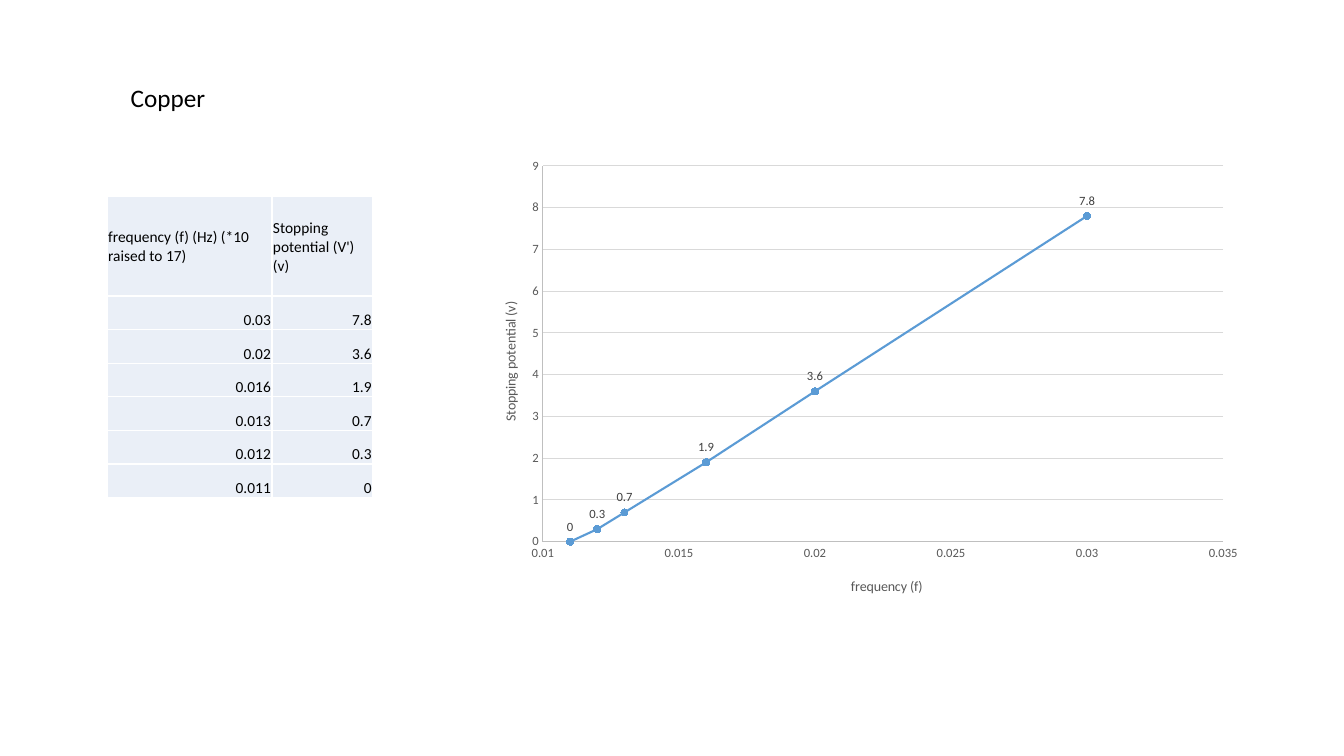
from dataclasses import dataclass

from lxml import etree
from pptx import Presentation
from pptx import util as u
from pptx.chart.axis import ValueAxis
from pptx.chart.data import XyChartData
from pptx.dml.color import RGBColor
from pptx.enum import chart as charts, text
from pptx.oxml import parse_xml
from pptx.oxml.ns import nsdecls, qn
from pptx.slide import Slide
from pptx.table import _Cell
from pptx.text.text import Font

PX = 9525
FONT = "Calibri"
BLACK, WHITE, GREY, LABEL = "000000", "FFFFFF", "595959", "404040"
AXIS, GRID, BLUE, CELL = "BFBFBF", "D9D9D9", "5B9BD5", "EAEFF7"


@dataclass(frozen=True)
class Box:
    left: int
    top: int
    width: int = 0
    height: int = 0

    def emu(self) -> tuple[int, int, int, int]:
        return px(self.left), px(self.top), px(self.width), px(self.height)


@dataclass(frozen=True)
class Reading:
    frequency: float
    potential: float


@dataclass(frozen=True)
class AxisStyle:
    title: str
    title_at: Box
    minimum: float
    maximum: float
    step: float
    gridlines: bool


READINGS = [
    Reading(0.03, 7.8),
    Reading(0.02, 3.6),
    Reading(0.016, 1.9),
    Reading(0.013, 0.7),
    Reading(0.012, 0.3),
    Reading(0.011, 0),
]
HEADERS = ("frequency (f) (Hz) (*10 raised to 17)", "Stopping potential (V') (v)")
COLUMN_WIDTHS = (157, 96)
HEADER_HEIGHT, ROW_HEIGHT = 95, 32
HEADING = Box(115, 74, 124, 38)
TABLE = Box(102, 187, 253, 287)
CHART = Box(452, 142, 741, 440)
PLOT = Box(65, 16, 648, 358)
FREQUENCY_AXIS = AxisStyle("frequency (f)", Box(356, 405), 0.01, 0.035, 0.005, False)
POTENTIAL_AXIS = AxisStyle("Stopping potential (v)", Box(23, 143), 0, 9, 1, True)


def px(length: int) -> int:
    return length * PX


def color(value: str) -> RGBColor:
    return RGBColor.from_string(value)


def style_font(font: Font, size: int, value: str) -> None:
    font.name = FONT
    font.size = u.Pt(size)
    font.bold = False
    font.color.rgb = color(value)


def add_heading(slide: Slide, content: str) -> None:
    frame = slide.shapes.add_textbox(*HEADING.emu()).text_frame
    frame.word_wrap = True
    run = frame.paragraphs[0].add_run()
    run.text = content
    style_font(run.font, 18, BLACK)


def style_cell(cell: _Cell, content: str, is_header: bool) -> None:
    cell.margin_left = cell.margin_right = cell.margin_top = px(1)
    cell.margin_bottom = 0
    anchor = text.MSO_ANCHOR
    cell.vertical_anchor = anchor.MIDDLE if is_header else anchor.BOTTOM
    cell.fill.solid()
    cell.fill.fore_color.rgb = color(CELL)
    paragraph = cell.text_frame.paragraphs[0]
    paragraph.alignment = text.PP_ALIGN.LEFT if is_header else text.PP_ALIGN.RIGHT
    run = paragraph.add_run()
    run.text = content
    style_font(run.font, 11, BLACK)
    properties = cell._tc.get_or_add_tcPr()
    for index, side in enumerate(("lnL", "lnR", "lnT", "lnB")):
        border = parse_xml(
            f'<a:{side} {nsdecls("a")} w="{u.Pt(1)}"><a:solidFill>'
            f'<a:srgbClr val="{WHITE}"/></a:solidFill></a:{side}>'
        )
        properties.insert(index, border)


def add_readings_table(slide: Slide) -> None:
    rows = [HEADERS] + [(str(r.frequency), str(r.potential)) for r in READINGS]
    table = slide.shapes.add_table(len(rows), len(HEADERS), *TABLE.emu()).table
    table.first_row = table.horz_banding = False
    for column, width in zip(table.columns, COLUMN_WIDTHS):
        column.width = px(width)
    for row_index, values in enumerate(rows):
        is_header = row_index == 0
        table.rows[row_index].height = px(HEADER_HEIGHT if is_header else ROW_HEIGHT)
        for column_index, value in enumerate(values):
            style_cell(table.cell(row_index, column_index), value, is_header)


def set_layout(parent: etree._Element, box: Box, index: int) -> None:
    for old in parent.findall(qn("c:layout")):
        parent.remove(old)
    settings = [("xMode", "edge"), ("yMode", "edge")]
    settings += [("x", box.left / CHART.width), ("y", box.top / CHART.height)]
    if box.width:
        settings.insert(0, ("layoutTarget", "inner"))
        settings += [("w", box.width / CHART.width), ("h", box.height / CHART.height)]
    content = "".join(f'<c:{name} val="{value}"/>' for name, value in settings)
    layout = parse_xml(
        f'<c:layout {nsdecls("c")}><c:manualLayout>{content}</c:manualLayout></c:layout>'
    )
    parent.insert(index, layout)


def style_axis(axis: ValueAxis, style: AxisStyle) -> None:
    axis.minimum_scale = style.minimum
    axis.maximum_scale = style.maximum
    axis.major_unit = style.step
    axis.major_tick_mark = axis.minor_tick_mark = charts.XL_TICK_MARK.NONE
    axis.tick_labels.number_format = "General"
    axis.tick_labels.number_format_is_linked = False
    style_font(axis.tick_labels.font, 9, GREY)
    axis.format.line.color.rgb = color(AXIS)
    axis.format.line.width = u.Pt(0.75)
    axis.has_major_gridlines = style.gridlines
    if style.gridlines:
        axis.major_gridlines.format.line.color.rgb = color(GRID)
        axis.major_gridlines.format.line.width = u.Pt(0.75)
    run = axis.axis_title.text_frame.paragraphs[0].add_run()
    run.text = style.title
    style_font(run.font, 10, GREY)
    set_layout(axis.axis_title._element, style.title_at, 1)


def add_potential_chart(slide: Slide) -> None:
    data = XyChartData()
    points = data.add_series("Series 1")
    for reading in READINGS:
        points.add_data_point(reading.frequency, reading.potential)
    kind = charts.XL_CHART_TYPE.XY_SCATTER_LINES
    chart = slide.shapes.add_chart(kind, *CHART.emu(), data).chart
    chart.has_title = chart.has_legend = False
    style_font(chart.font, 10, BLACK)
    style_axis(chart.category_axis, FREQUENCY_AXIS)
    style_axis(chart.value_axis, POTENTIAL_AXIS)
    set_layout(chart._chartSpace.chart.plotArea, PLOT, 0)
    plot = chart.plots[0]
    plot.vary_by_categories = False
    series = plot.series[0]
    series.format.line.color.rgb = color(BLUE)
    series.format.line.width = u.Pt(1.5)
    series.marker.style = charts.XL_MARKER_STYLE.CIRCLE
    series.marker.size = 5
    series.marker.format.fill.solid()
    series.marker.format.fill.fore_color.rgb = color(BLUE)
    series.marker.format.line.color.rgb = color(BLUE)
    for index in range(len(READINGS)):
        label = series.points[index].data_label
        style_font(label.font, 9, LABEL)
        label.position = charts.XL_LABEL_POSITION.ABOVE


def main() -> None:
    presentation = Presentation()
    presentation.slide_width = px(1280)
    presentation.slide_height = px(720)
    slide = presentation.slides.add_slide(presentation.slide_layouts[6])
    add_readings_table(slide)
    add_potential_chart(slide)
    add_heading(slide, "Copper")
    presentation.save("out.pptx")


if __name__ == "__main__":
    main()
